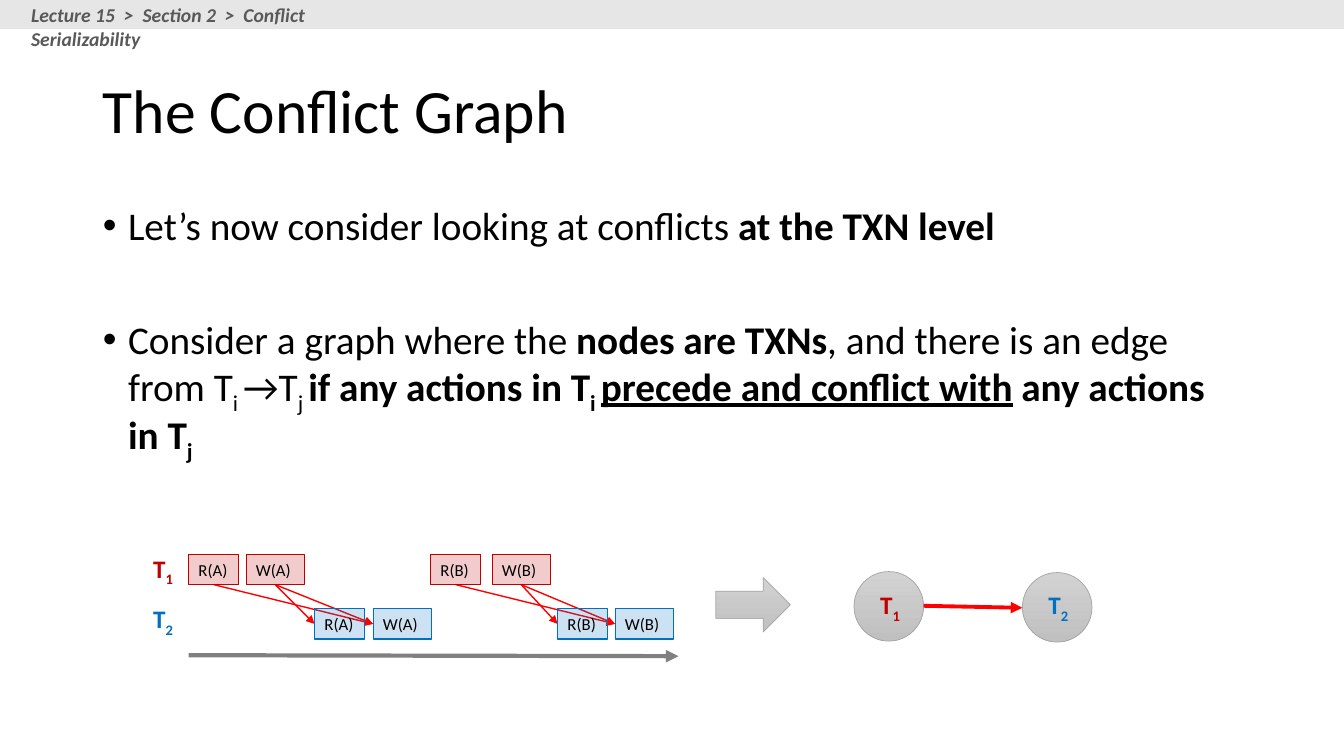
import pptx
import pptx.dml.color
import pptx.enum.dml
import pptx.enum.shapes
import pptx.enum.text
import pptx.oxml
import pptx.oxml.ns
import pptx.util

COLORS = {
    "black": "000000", "T1": "C00000", "T2": "0070C0", "conflict": "FF0000",
    "time": "808080", "band": "E7E6E6", "crumb": "595959",
    "gray_top": "D2D2D2", "gray_bottom": "C0C0C0", "gray_line": "A5A5A5",
}
SHAPE = pptx.enum.shapes.MSO_SHAPE
ANCHOR = pptx.enum.text.MSO_ANCHOR
COLS, ROWS = 13.33, 7.5  # grid cells are one inch square


def cells(n):
    return pptx.util.Inches(n)


def rgb(name):
    return pptx.dml.color.RGBColor.from_string(COLORS[name])


def sub(parent, tag, **attrs):
    el = pptx.oxml.parse_xml(f"<{tag} {pptx.oxml.ns.nsdecls('a')}/>")
    for key, value in attrs.items():
        el.set(key, value)
    parent.append(el)
    return el


class Deck:
    font = "Calibri"

    def __init__(self, prs):
        self.slide = prs.slides.add_slide(prs.slide_layouts[1])

    def runs(self, p, parts, size, color="black"):
        """Each part is (text, flags): b bold, i italic, u underline, s subscript."""
        p.alignment = pptx.enum.text.PP_ALIGN.LEFT
        for text, flags in parts:
            r = p.add_run()
            r.text = text
            r.font.name = self.font
            r.font.size = pptx.util.Pt(size)
            r.font.color.rgb = rgb(color)
            r.font.bold = "b" in flags
            r.font.italic = "i" in flags
            r.font.underline = "u" in flags
            if "s" in flags:
                r.font._element.set("baseline", "-25000")

    def placeholder(self, index, box, paragraphs, size, anchor, bullet=False, gap=0):
        sp = self.slide.placeholders[index]
        sp.left, sp.top, sp.width, sp.height = map(cells, box)
        tf = sp.text_frame
        tf.auto_size = pptx.enum.text.MSO_AUTO_SIZE.NONE
        tf.vertical_anchor = anchor
        for i, parts in enumerate(paragraphs):
            p = tf.add_paragraph() if i else tf.paragraphs[0]
            p.line_spacing = 0.9
            p.space_before = pptx.util.Pt(gap if i else 10 if bullet else 0)
            self.runs(p, parts, size)
            if bullet:
                pPr = p._p.get_or_add_pPr()
                pPr.set("marL", str(cells(0.25)))
                pPr.set("indent", str(-cells(0.25)))
                sub(pPr, "a:buFont", typeface="Arial")
                sub(pPr, "a:buChar", char="•")

    def text(self, box, parts, size, color, wrap=False, right=0.1):
        tf = self.slide.shapes.add_textbox(*map(cells, box)).text_frame
        tf.word_wrap = wrap
        tf.margin_right = cells(right)
        self.runs(tf.paragraphs[0], parts, size, color)

    def shape(self, kind, box, fill=None, line=None, weight=0.5, alpha=None):
        """Without a fill colour the shape gets the gray gradient."""
        sp = self.slide.shapes.add_shape(kind, *map(cells, box))
        sp.shadow.inherit = False
        if fill:
            sp.fill.solid()
            sp.fill.fore_color.rgb = rgb(fill)
        else:
            sp.fill.gradient()
            sp.fill.gradient_angle = 270
            stops = zip(sp.fill.gradient_stops, ("gray_top", "gray_bottom"), (0, 1))
            for stop, color, position in stops:
                stop.color.rgb = rgb(color)
                stop.position = position
        if alpha:
            color = sp.fill._xPr.find(".//" + pptx.oxml.ns.qn("a:srgbClr"))
            sub(color, "a:alpha", val=str(alpha * 1000))
        if line:
            sp.line.color.rgb = rgb(line)
            sp.line.width = pptx.util.Pt(weight)
        else:
            sp.line.fill.background()
        return sp

    def operation(self, box, label, color):
        sp = self.shape(SHAPE.RECTANGLE, box, color, color, 0.75, alpha=20)
        tf = sp.text_frame
        tf.margin_right = 0
        tf.vertical_anchor = ANCHOR.MIDDLE
        self.runs(tf.paragraphs[0], [(label, "")], 12)

    def arrow(self, start, end, color, weight):
        cx = self.slide.shapes.add_connector(
            pptx.enum.shapes.MSO_CONNECTOR.STRAIGHT, *map(cells, (*start, *end)))
        cx.line.color.rgb = rgb(color)
        cx.line.width = pptx.util.Pt(weight)
        sub(cx.line._get_or_add_ln(), "a:tailEnd", type="triangle")
        sub(cx._element.spPr, "a:effectLst")

    def transaction(self, name, left, top):
        self.text((left, top, 0.41, 0.4), [(name[0], "b"), (name[1], "bs")], 18, name)


prs = pptx.Presentation()
prs.slide_width, prs.slide_height = cells(COLS), cells(ROWS)
deck = Deck(prs)

# Title and bullets
deck.placeholder(0, (0.92, 0.4, 11.5, 1.45), [[("The Conflict Graph", "")]], 44, ANCHOR.MIDDLE)
deck.placeholder(1, (0.92, 2, 11.5, 2.94), [
    [("Let’s now consider looking at conflicts ", ""), ("at the TXN level", "b")],
    [("Consider a graph where the ", ""), ("nodes are TXNs", "b"),
     (", and there is an edge from T", ""), ("i ", "s"), ("→T", ""), ("j ", "s"),
     ("if any actions in T", "b"), ("i ", "bs"), ("precede and conflict with", "bu"),
     (" any actions in T", "b"), ("j", "bs")],
], 28, ANCHOR.TOP, bullet=True, gap=51)

# Schedule: left edge of every operation, by transaction
HEIGHT = 0.3
WIDTHS = {"R": 0.5, "W": 0.58}
TOPS = {"T1": 5.5, "T2": 6.04}
LEFTS = {
    "T1": {"R(A)": 1.87, "W(A)": 2.44, "R(B)": 4.27, "W(B)": 4.88},
    "T2": {"R(A)": 3.12, "W(A)": 3.7, "R(B)": 5.53, "W(B)": 6.1},
}

# Conflicts: every pair on the same item with at least one write
for item in "AB":
    for first, second in ("WR", "RW", "WW"):
        start = LEFTS["T1"][f"{first}({item})"] + WIDTHS[first] / 2
        end = LEFTS["T2"][f"{second}({item})"]
        deck.arrow((start, TOPS["T1"] + HEIGHT), (end, TOPS["T2"] + HEIGHT / 2), "conflict", 1)

deck.arrow((1.87, 6.5), (6.73, 6.51), "time", 3)
for row, (name, operations) in enumerate(LEFTS.items()):
    deck.transaction(name, 1.42, 5.44 + row * 0.5)
    for label, left in operations.items():
        deck.operation((left, TOPS[name], WIDTHS[label[0]], HEIGHT), label, name)

# Conflict graph
deck.shape(SHAPE.RIGHT_ARROW, (7.1, 5.73, 0.74, 0.54), line="gray_line")
NODE = 0.69
for name, left, top in (("T1", 8.47, 5.67), ("T2", 10.14, 5.68)):
    deck.shape(SHAPE.OVAL, (left, top, NODE, NODE), line="gray_line")
    deck.transaction(name, left + 0.16, 5.8)
deck.arrow((8.47 + NODE, 6.01), (10.14, 6.03), "conflict", 2.75)

# Breadcrumb band
deck.shape(SHAPE.RECTANGLE, (0, 0, COLS, 0.29), "band")
deck.text((0.21, -0.02, 4.05, 0.34),
          [("Lecture 15  >  Section 2  >  Conflict Serializability", "bi")],
          14, "crumb", wrap=True, right=0.6)

prs.save("out.pptx")
